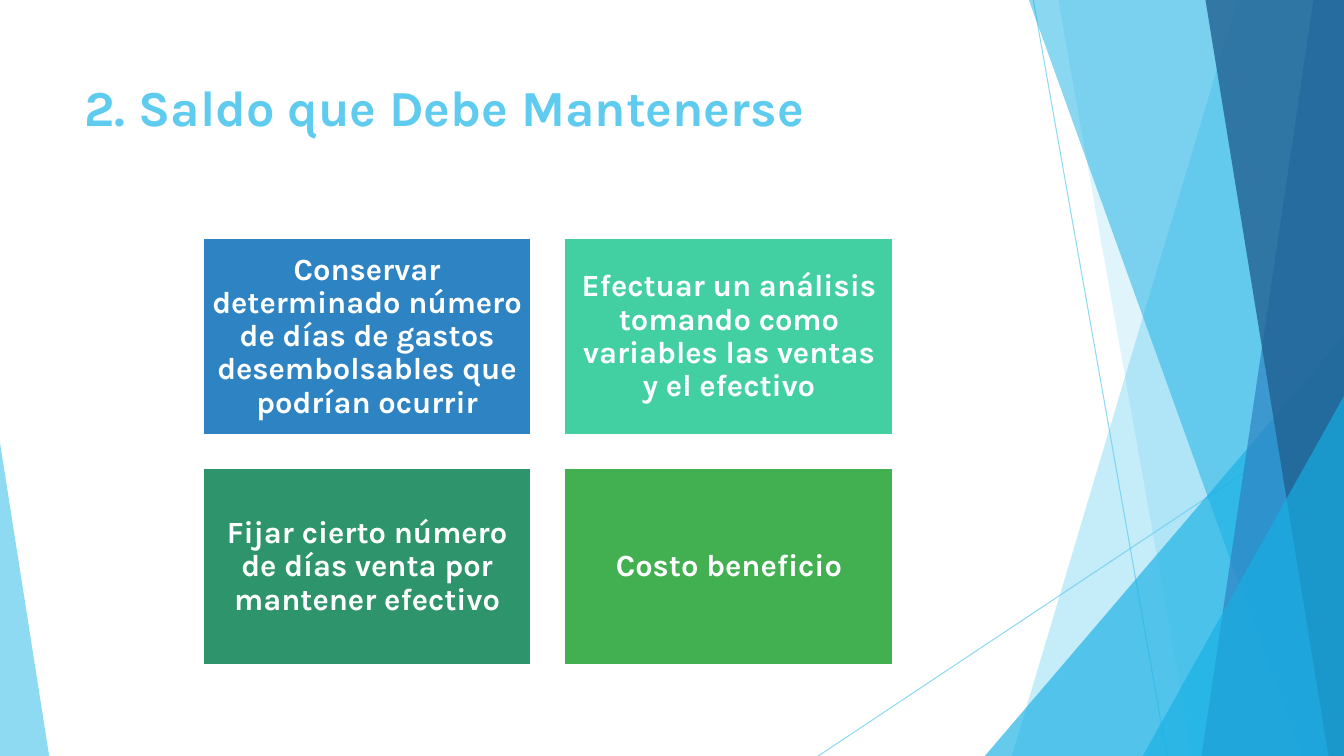
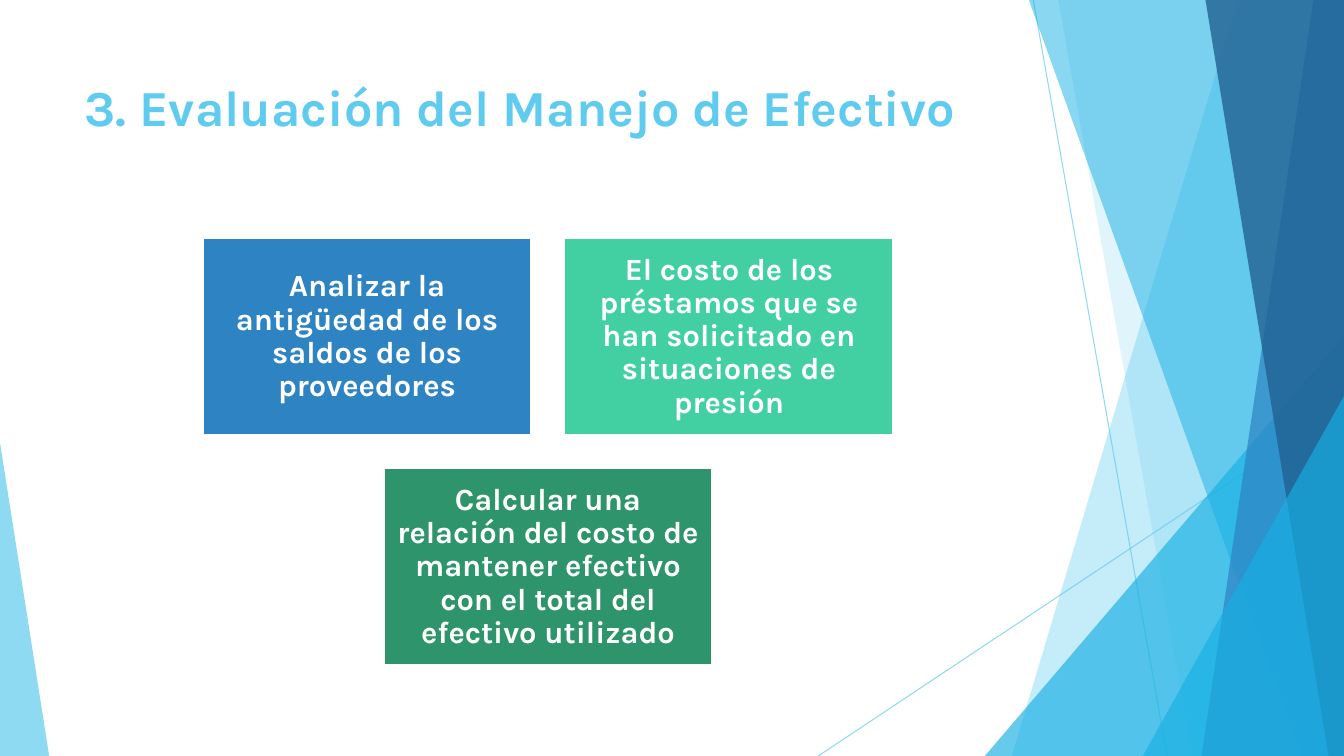
from dataclasses import dataclass

from lxml.etree import SubElement
from pptx import Presentation
from pptx.dml.color import RGBColor
from pptx.enum.shapes import MSO_CONNECTOR as Connector, MSO_SHAPE as Preset
from pptx.enum.text import MSO_ANCHOR as Anchor, PP_ALIGN as Align
from pptx.oxml.ns import qn
from pptx.shapes.base import BaseShape
from pptx.slide import Slide
from pptx.text.text import TextFrame
from pptx.util import Cm, Pt


@dataclass(frozen=True)
class Theme:
    font: str = "Karla"
    title_size: float = 36
    card_size: float = 22
    sky: str = "5FCBEF"
    cyan: str = "17B0E4"
    blue: str = "2E83C3"
    navy: str = "226292"
    white: str = "FFFFFF"
    cards: tuple[str, ...] = ("2E83C3", "42D0A2", "2E946B", "42B051")


@dataclass(frozen=True)
class Ray:
    x1: float
    y1: float
    x2: float
    y2: float


@dataclass(frozen=True)
class Slant:
    top_x: float
    bottom_x: float
    color: str
    alpha: int


@dataclass(frozen=True)
class Wedge:
    left: float
    top: float
    right: float
    peak: float
    color: str
    alpha: int


@dataclass(frozen=True)
class Page:
    title: str
    cards: tuple[str, ...]


THEME = Theme()
WIDTH, HEIGHT = 33.87, 19.05
CARD_W, CARD_H, GAP = 8.29, 4.97, 0.83
CARDS_CENTER, CARDS_TOP, COLUMNS = 13.81, 6.0, 2

RAYS = (Ray(26.04, 0, 29.41, HEIGHT), Ray(WIDTH, 10.24, 20.62, HEIGHT))
FACETS = (
    Slant(31.19, 25.5, THEME.sky, 36),
    Slant(26.67, 30.05, THEME.sky, 20),
    Wedge(24.82, 8.46, WIDTH, 1, THEME.cyan, 66),
    Slant(25.93, 32.79, THEME.cyan, 50),
    Slant(33.1, 30.28, THEME.blue, 70),
    Slant(30.38, 33.48, THEME.navy, 80),
    Wedge(28.8, 9.98, WIDTH, 1, THEME.cyan, 66),
    Wedge(0, 11.15, 1.24, 0, THEME.sky, 70),
)
PAGES = (
    Page("2. Saldo que Debe Mantenerse", (
        "Conservar determinado número de días de gastos desembolsables que podrían ocurrir",
        "Efectuar un análisis tomando como variables las ventas y el efectivo",
        "Fijar cierto número de días venta por mantener efectivo",
        "Costo beneficio",
    )),
    Page("3. Evaluación del Manejo de Efectivo", (
        "Analizar la antigüedad de los saldos de los proveedores",
        "El costo de los préstamos que se han solicitado en situaciones de presión",
        "Calcular una relación del costo de mantener efectivo con el total del efectivo utilizado",
    )),
)


def set_alpha(sp: BaseShape, percent: int) -> None:
    for color in sp.element.iter(qn("a:srgbClr")):
        SubElement(color, qn("a:alpha"), val=str(percent * 1000))


def fill_shape(sp: BaseShape, color: str) -> None:
    sp.shadow.inherit = False
    sp.fill.solid()
    sp.fill.fore_color.rgb = RGBColor.from_string(color)


def write(tf: TextFrame, text: str, *, size: float, color: str,
          align: Align = Align.LEFT, anchor: Anchor = Anchor.TOP,
          spacing: float = 1.0, inset: float = 0.25) -> None:
    tf.word_wrap = True
    tf.vertical_anchor = anchor
    tf.margin_left = tf.margin_right = Cm(inset)
    tf.margin_top = tf.margin_bottom = Cm(min(inset, 0.23))
    p = tf.paragraphs[0]
    p.alignment = align
    p.line_spacing = spacing
    r = p.add_run()
    r.text = text
    r.font.name = THEME.font
    r.font.size = Pt(size)
    r.font.bold = True
    r.font.color.rgb = RGBColor.from_string(color)


def draw_ray(s: Slide, ray: Ray) -> None:
    line = s.shapes.add_connector(Connector.STRAIGHT, Cm(ray.x1), Cm(ray.y1),
                                  Cm(ray.x2), Cm(ray.y2))
    line.line.color.rgb = RGBColor.from_string(THEME.sky)
    line.line.width = Pt(0.75)
    set_alpha(line, 70)
    SubElement(line.element.spPr, qn("a:effectLst"))


def draw_facet(s: Slide, facet: Slant | Wedge) -> None:
    if isinstance(facet, Slant):
        outline = s.shapes.build_freeform(Cm(facet.top_x), 0)
        outline.add_line_segments([
            (Cm(WIDTH), 0), (Cm(WIDTH), Cm(HEIGHT)), (Cm(facet.bottom_x), Cm(HEIGHT)),
        ])
        sp = outline.convert_to_shape()
    else:
        sp = s.shapes.add_shape(Preset.ISOSCELES_TRIANGLE, Cm(facet.left), Cm(facet.top),
                                Cm(facet.right - facet.left), Cm(HEIGHT - facet.top))
        sp.adjustments[0] = facet.peak
    fill_shape(sp, facet.color)
    sp.line.fill.background()
    set_alpha(sp, facet.alpha)


def draw_frame(s: Slide, title: str) -> None:
    for ray in RAYS:
        draw_ray(s, ray)
    for facet in FACETS:
        draw_facet(s, facet)
    box = s.shapes.add_textbox(Cm(1.88), Cm(1.7), Cm(23.88), Cm(3.66))
    write(box.text_frame, title, size=THEME.title_size, color=THEME.sky)


def draw_cards(s: Slide, texts: tuple[str, ...]) -> None:
    for i, text in enumerate(texts):
        row, col = divmod(i, COLUMNS)
        in_row = min(COLUMNS, len(texts) - row * COLUMNS)
        row_width = in_row * (CARD_W + GAP) - GAP
        left = CARDS_CENTER - row_width / 2 + col * (CARD_W + GAP)
        top = CARDS_TOP + row * (CARD_H + GAP)
        sp = s.shapes.add_shape(Preset.RECTANGLE, Cm(left), Cm(top), Cm(CARD_W), Cm(CARD_H))
        fill_shape(sp, THEME.cards[i])
        sp.line.color.rgb = RGBColor.from_string(THEME.white)
        sp.line.width = Pt(1.5)
        write(sp.text_frame, text, size=THEME.card_size, color=THEME.white,
              align=Align.CENTER, anchor=Anchor.MIDDLE, spacing=0.9, inset=0.23)


def main() -> None:
    prs = Presentation()
    prs.slide_width, prs.slide_height = Cm(WIDTH), Cm(HEIGHT)
    for page in PAGES:
        s = prs.slides.add_slide(prs.slide_layouts[6])
        draw_frame(s, page.title)
        draw_cards(s, page.cards)
    prs.save("out.pptx")


if __name__ == "__main__":
    main()
